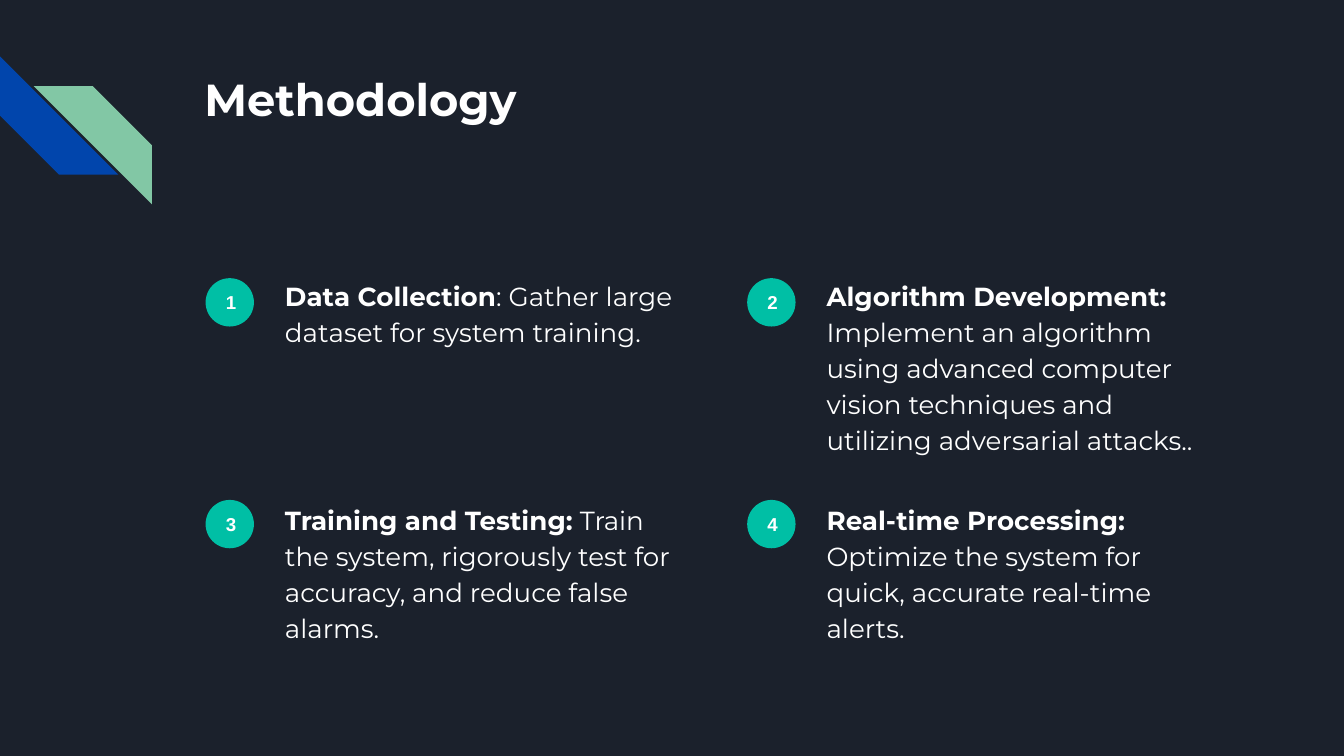
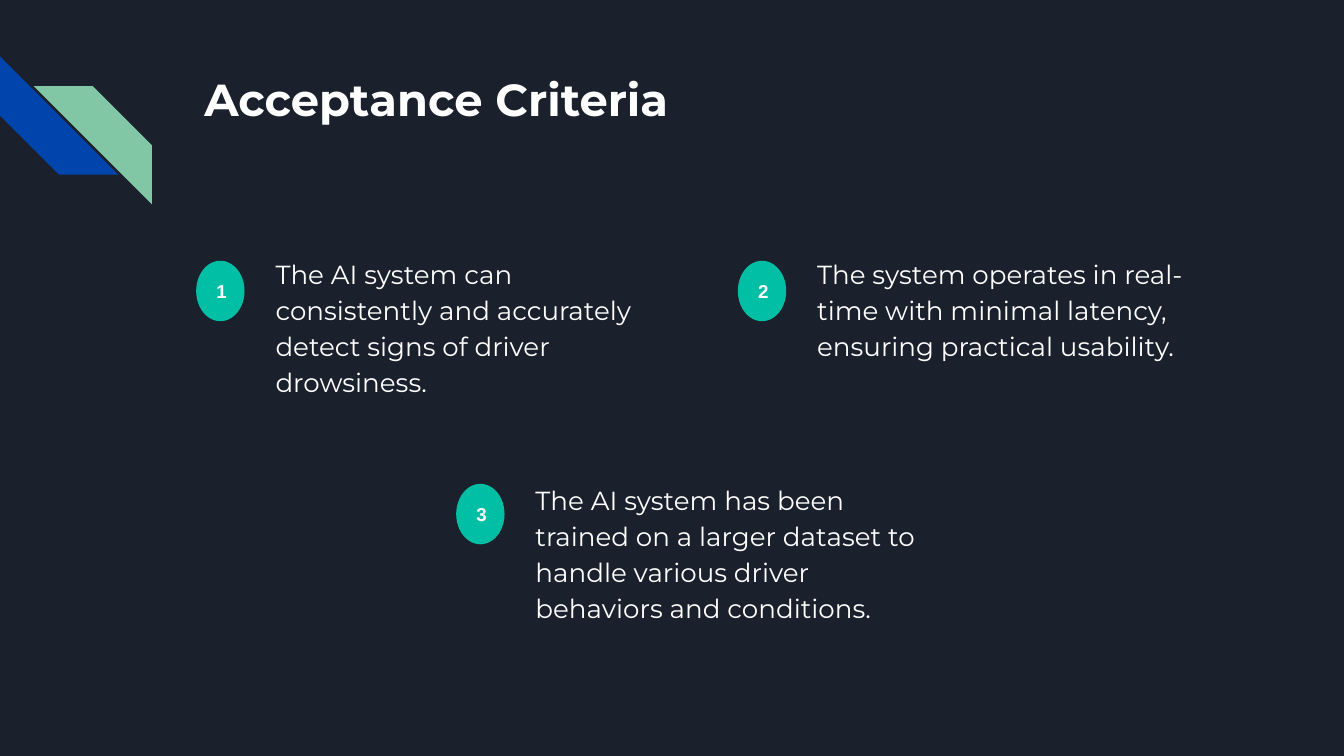
import dataclasses
import typing

import pptx
import pptx.dml.color
import pptx.enum.shapes
import pptx.enum.text
import pptx.oxml.ns
import pptx.presentation
import pptx.slide
import pptx.text.text
import pptx.util
from lxml import etree
from pptx.util import Inches

RGB = pptx.dml.color.RGBColor
ANCHOR = pptx.enum.text.MSO_ANCHOR
ALIGN = pptx.enum.text.PP_ALIGN
SHAPE = pptx.enum.shapes.MSO_SHAPE

SLIDE_WIDTH = Inches(10)
SLIDE_HEIGHT = SLIDE_WIDTH * 9 // 16


@dataclasses.dataclass(frozen=True)
class Theme:
    background: RGB = RGB.from_string("1B212C")
    text: RGB = RGB.from_string("FFFFFF")
    marker: RGB = RGB.from_string("00BFA5")
    blue: RGB = RGB.from_string("0145AC")
    green: RGB = RGB.from_string("82C7A5")
    text_font: str = "Montserrat"
    marker_font: str = "Arial"
    title_size: int = 24
    body_size: int = 14
    marker_size: int = 10
    line_spacing: float = 1.15
    space_after: int = 12
    inset: float = 0.1


THEME = Theme()


class Stripe(typing.NamedTuple):
    left: float
    top: float
    rotation: int
    color: RGB


STRIPE_SIDE = 0.88
STRIPES = (
    Stripe(0, 0.42, 270, THEME.blue),
    Stripe(0.25, 0.64, 90, THEME.green),
)


class Item(typing.NamedTuple):
    """A numbered entry; column and row count grid steps and may be fractions."""
    column: float
    row: int
    label: str
    text: str


@dataclasses.dataclass(frozen=True)
class Grid:
    left: float
    marker_top: float
    text_top: float
    marker_height: float
    text_height: float
    marker_step: float
    text_step: float
    column_step: float = 4.03
    text_offset: float = 0.49
    marker_width: float = 0.36
    text_width: float = 3.1


class Page(typing.NamedTuple):
    title: str
    grid: Grid
    items: tuple[Item, ...]


PAGES = (
    Page("Methodology", Grid(1.53, 2.07, 1.95, 0.36, 1.15, 1.65, 1.67), (
        Item(0, 0, "Data Collection", ": Gather large dataset for system training."),
        Item(1, 0, "Algorithm Development:",
             " Implement an algorithm using advanced computer vision techniques "
             "and utilizing adversarial attacks.."),
        Item(0, 1, "Training and Testing:",
             " Train the system, rigorously test for accuracy, and reduce false alarms."),
        Item(1, 1, "Real-time Processing:",
             " Optimize the system for quick, accurate real-time alerts."),
    )),
    Page("Acceptance Criteria", Grid(1.46, 1.94, 1.79, 0.45, 1.45, 1.66, 1.68), (
        Item(0, 0, "", "The AI system can consistently and accurately detect signs "
                       "of driver drowsiness."),
        Item(1, 0, "", "The system operates in real-time with minimal latency, "
                       "ensuring practical usability."),
        Item(0.48, 1, "", "The AI system has been trained on a larger dataset to handle "
                          "various driver behaviors and conditions."),
    )),
)


def place(shape, left: float, top: float, width: float, height: float) -> None:
    shape.left, shape.top = Inches(left), Inches(top)
    shape.width, shape.height = Inches(width), Inches(height)


def prepare_frame(frame: pptx.text.text.TextFrame, anchor: ANCHOR) -> None:
    frame.word_wrap = True
    frame.auto_size = pptx.enum.text.MSO_AUTO_SIZE.NONE
    frame.vertical_anchor = anchor
    frame.margin_left = frame.margin_right = Inches(THEME.inset)
    frame.margin_top = frame.margin_bottom = Inches(THEME.inset)


def add_run(paragraph, text: str, font: str, size: int, bold: bool) -> None:
    run = paragraph.add_run()
    run.text = text
    run.font.name = font
    run.font.size = pptx.util.Pt(size)
    run.font.bold = bold
    run.font.color.rgb = THEME.text


def add_filled_shape(slide: pptx.slide.Slide, preset: SHAPE, color: RGB,
                     left: float, top: float, width: float, height: float):
    shape = slide.shapes.add_shape(
        preset, Inches(left), Inches(top), Inches(width), Inches(height))
    shape.shadow.inherit = False
    shape.fill.solid()
    shape.fill.fore_color.rgb = color
    shape.line.fill.background()
    return shape


def add_stripes(slide: pptx.slide.Slide) -> None:
    """Draw the corner stripes and hand them to the layout that the slides share."""
    for stripe in STRIPES:
        shape = add_filled_shape(slide, SHAPE.DIAGONAL_STRIPE, stripe.color,
                                 stripe.left, stripe.top, STRIPE_SIDE, STRIPE_SIDE)
        shape.rotation = stripe.rotation
        slide.slide_layout.shapes.element.append(shape.element)


def fill_title(slide: pptx.slide.Slide, text: str) -> None:
    title = slide.shapes.title
    place(title, 1.42, 0.43, 7.7, 1)
    prepare_frame(title.text_frame, ANCHOR.TOP)
    paragraph = title.text_frame.paragraphs[0]
    paragraph.alignment = ALIGN.LEFT
    add_run(paragraph, text, THEME.text_font, THEME.title_size, True)


def add_marker(slide: pptx.slide.Slide, grid: Grid, item: Item, number: int) -> None:
    marker = add_filled_shape(
        slide, SHAPE.OVAL, THEME.marker,
        grid.left + item.column * grid.column_step,
        grid.marker_top + item.row * grid.marker_step,
        grid.marker_width, grid.marker_height)
    prepare_frame(marker.text_frame, ANCHOR.MIDDLE)
    paragraph = marker.text_frame.paragraphs[0]
    paragraph.alignment = ALIGN.CENTER
    add_run(paragraph, str(number), THEME.marker_font, THEME.marker_size, True)


def fill_body(body, grid: Grid, item: Item) -> None:
    place(body, grid.left + item.column * grid.column_step + grid.text_offset,
          grid.text_top + item.row * grid.text_step,
          grid.text_width, grid.text_height)
    prepare_frame(body.text_frame, ANCHOR.TOP)
    paragraph = body.text_frame.paragraphs[0]
    paragraph.line_spacing = THEME.line_spacing
    paragraph.space_before = pptx.util.Pt(0)
    paragraph.space_after = pptx.util.Pt(THEME.space_after)
    properties = paragraph._p.get_or_add_pPr()
    properties.set("marL", "0")
    properties.set("indent", "0")
    etree.SubElement(properties, pptx.oxml.ns.qn("a:buNone"))
    if item.label:
        add_run(paragraph, item.label, THEME.text_font, THEME.body_size, True)
    add_run(paragraph, item.text, THEME.text_font, THEME.body_size, False)


def add_page(presentation: pptx.presentation.Presentation,
             layout: pptx.slide.SlideLayout, page: Page) -> pptx.slide.Slide:
    slide = presentation.slides.add_slide(layout)
    fill_title(slide, page.title)
    bodies = [shape for shape in slide.placeholders
              if shape.placeholder_format.idx > 0]
    for number, (item, body) in enumerate(zip(page.items, bodies), start=1):
        add_marker(slide, page.grid, item, number)
        fill_body(body, page.grid, item)
    for unused in bodies[len(page.items):]:
        unused.element.getparent().remove(unused.element)
    return slide


def main() -> None:
    presentation = pptx.Presentation()
    presentation.slide_width = SLIDE_WIDTH
    presentation.slide_height = SLIDE_HEIGHT
    background = presentation.slide_master.background.fill
    background.solid()
    background.fore_color.rgb = THEME.background
    layout = presentation.slide_layouts.get_by_name("Comparison")
    slides = [add_page(presentation, layout, page) for page in PAGES]
    add_stripes(slides[0])
    presentation.save("out.pptx")


if __name__ == "__main__":
    main()
